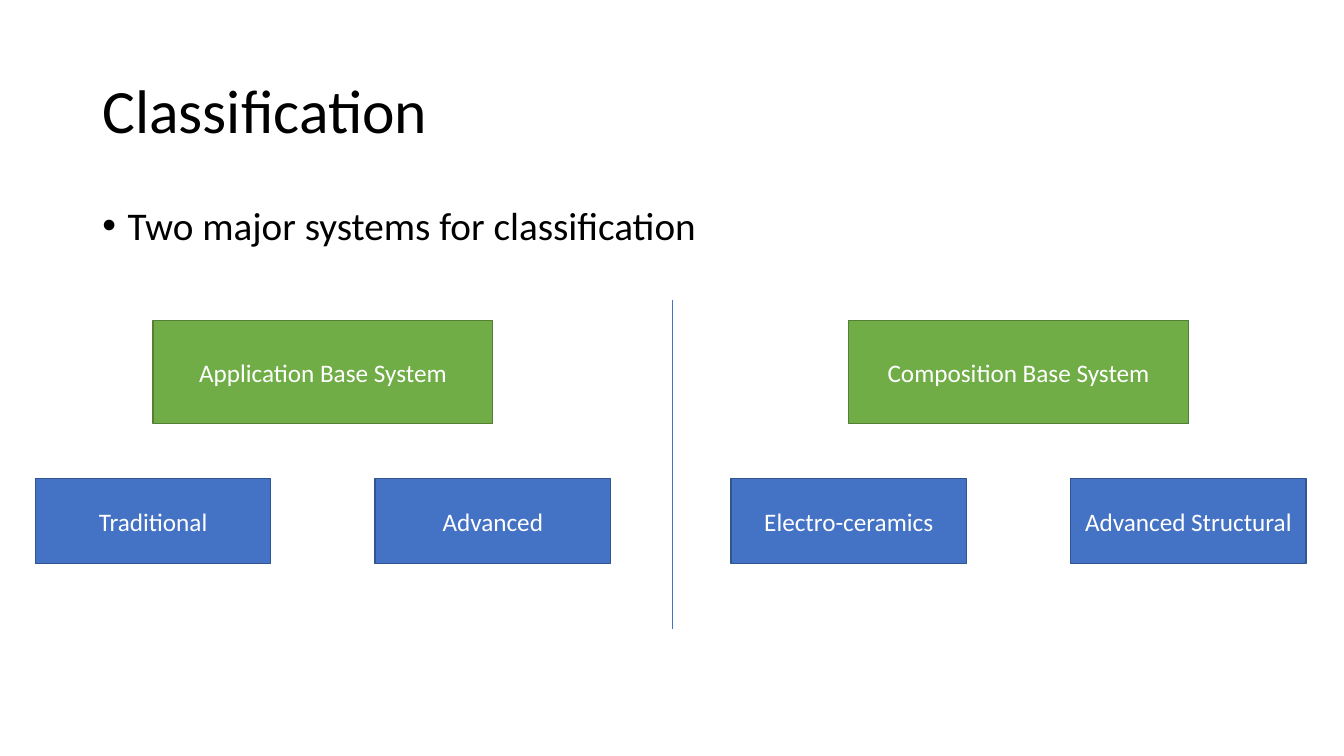
from lxml import etree
from pptx import Presentation
from pptx.dml.color import RGBColor
from pptx.enum.shapes import MSO_CONNECTOR, MSO_SHAPE
from pptx.enum.text import MSO_ANCHOR, PP_ALIGN
from pptx.oxml.ns import qn
from pptx.util import Cm, Pt

RECTANGLE = MSO_SHAPE.RECTANGLE
STRAIGHT = MSO_CONNECTOR.STRAIGHT
TOP, MIDDLE = MSO_ANCHOR.TOP, MSO_ANCHOR.MIDDLE
LEFT, CENTER = PP_ALIGN.LEFT, PP_ALIGN.CENTER

BLACK, WHITE = "000000", "FFFFFF"
GREEN, DARK_GREEN = "70AD47", "538035"
BLUE, DARK_BLUE = "4472C4", "325491"


def color(hex_value):
    return RGBColor.from_string(hex_value)


def write(frame, text, *, font, size, ink, align=LEFT, anchor=MIDDLE,
          line_spacing=None, space_before=0, bullet=None):
    frame.word_wrap = True
    frame.vertical_anchor = anchor
    paragraph = frame.paragraphs[0]
    paragraph.alignment = align
    paragraph.space_before = Pt(space_before)
    if line_spacing:
        paragraph.line_spacing = line_spacing
    run = paragraph.add_run()
    run.text = text
    run.font.name = font
    run.font.size = Pt(size)
    run.font.color.rgb = color(ink)
    if bullet:
        properties = paragraph._p.get_or_add_pPr()
        indent = Cm(0.64)
        properties.set("marL", str(indent))
        properties.set("indent", str(-indent))
        etree.SubElement(properties, qn("a:buFont"), typeface="Arial")
        etree.SubElement(properties, qn("a:buChar"), char=bullet)


class SlideBuilder:
    def __init__(self, slide, font="Calibri"):
        self.slide = slide
        self.font = font

    def text(self, text, left, top, width, height, **style):
        box = self.slide.shapes.add_textbox(Cm(left), Cm(top), Cm(width), Cm(height))
        write(box.text_frame, text, font=self.font, ink=BLACK,
              line_spacing=0.9, **style)

    def box(self, text, center, top, width, height, fill, outline):
        box = self.slide.shapes.add_shape(
            RECTANGLE, Cm(center - width / 2), Cm(top), Cm(width), Cm(height))
        box.shadow.inherit = False
        box.fill.solid()
        box.fill.fore_color.rgb = color(fill)
        box.line.color.rgb = color(outline)
        box.line.width = Pt(1)
        write(box.text_frame, text, font=self.font, size=18, ink=WHITE, align=CENTER)

    def vertical_line(self, x, top, bottom, ink, weight):
        line = self.slide.shapes.add_connector(
            STRAIGHT, Cm(x), Cm(top), Cm(x), Cm(bottom))
        line.line.color.rgb = color(ink)
        line.line.width = Pt(weight)
        etree.SubElement(line._element.spPr, qn("a:effectLst"))


def main():
    presentation = Presentation()
    presentation.slide_width = Cm(33.87)
    presentation.slide_height = Cm(19.05)
    builder = SlideBuilder(presentation.slides.add_slide(presentation.slide_layouts[6]))

    # Heading and introduction
    builder.text("Classification", 2.33, 1.02, 29.21, 3.68, size=44)
    builder.text("Two major systems for classification", 2.33, 5.08, 29.21, 12.09,
                 size=28, anchor=TOP, space_before=10, bullet="•")

    # Systems, each with its classes centred under its left and right edges
    system_width = 8.56
    systems = [
        ("Application Base System", 8.14, ("Traditional", "Advanced")),
        ("Composition Base System", 25.67, ("Electro-ceramics", "Advanced Structural")),
    ]
    for system, center, classes in systems:
        builder.box(system, center, 8.08, system_width, 2.59, GREEN, DARK_GREEN)
        for side, class_name in zip((-1, 1), classes):
            builder.box(class_name, center + side * system_width / 2, 12.06,
                        5.93, 2.14, BLUE, DARK_BLUE)

    # Divider between the systems
    builder.vertical_line(16.94, 7.57, 15.85, BLUE, 0.5)

    presentation.save("out.pptx")


if __name__ == "__main__":
    main()
